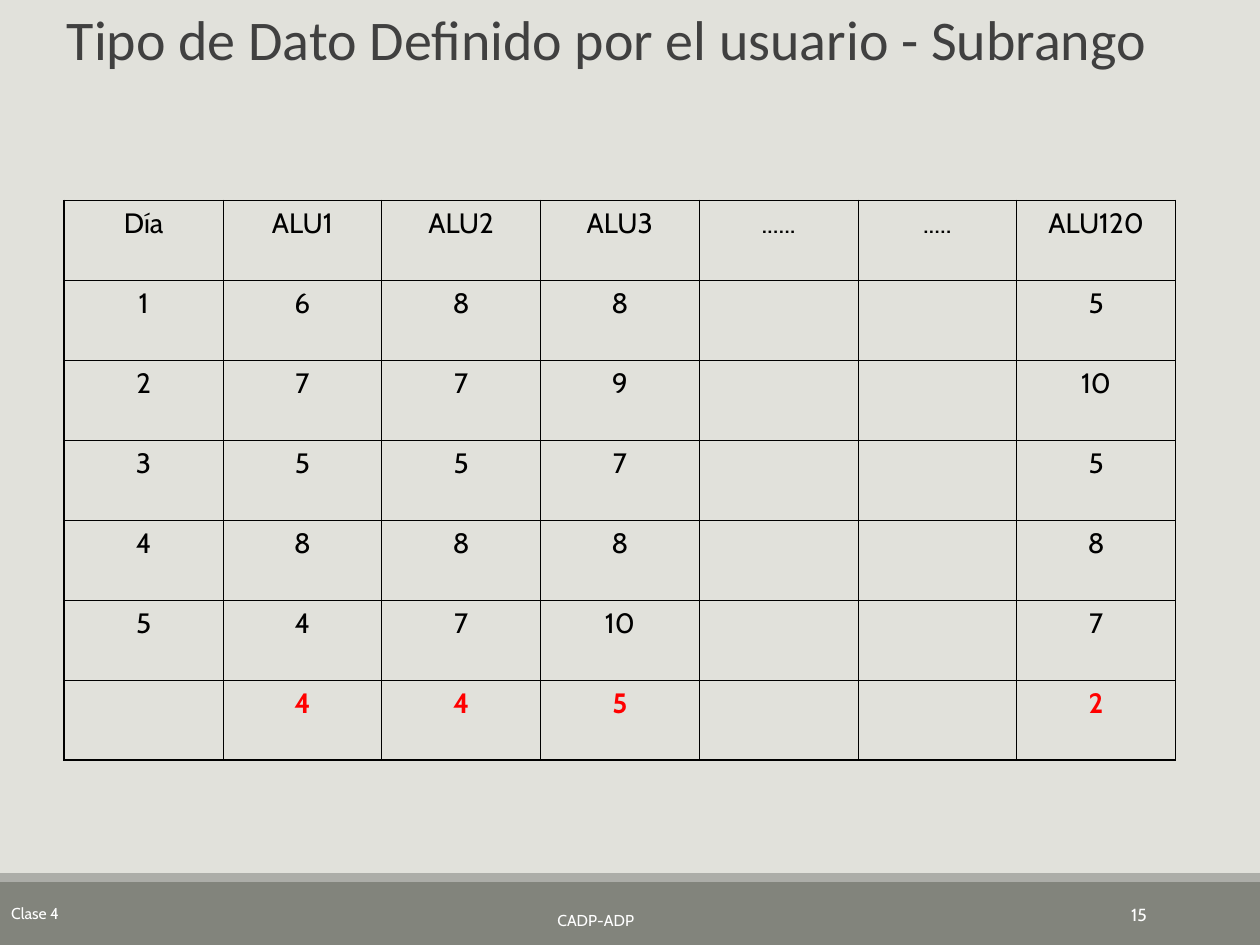
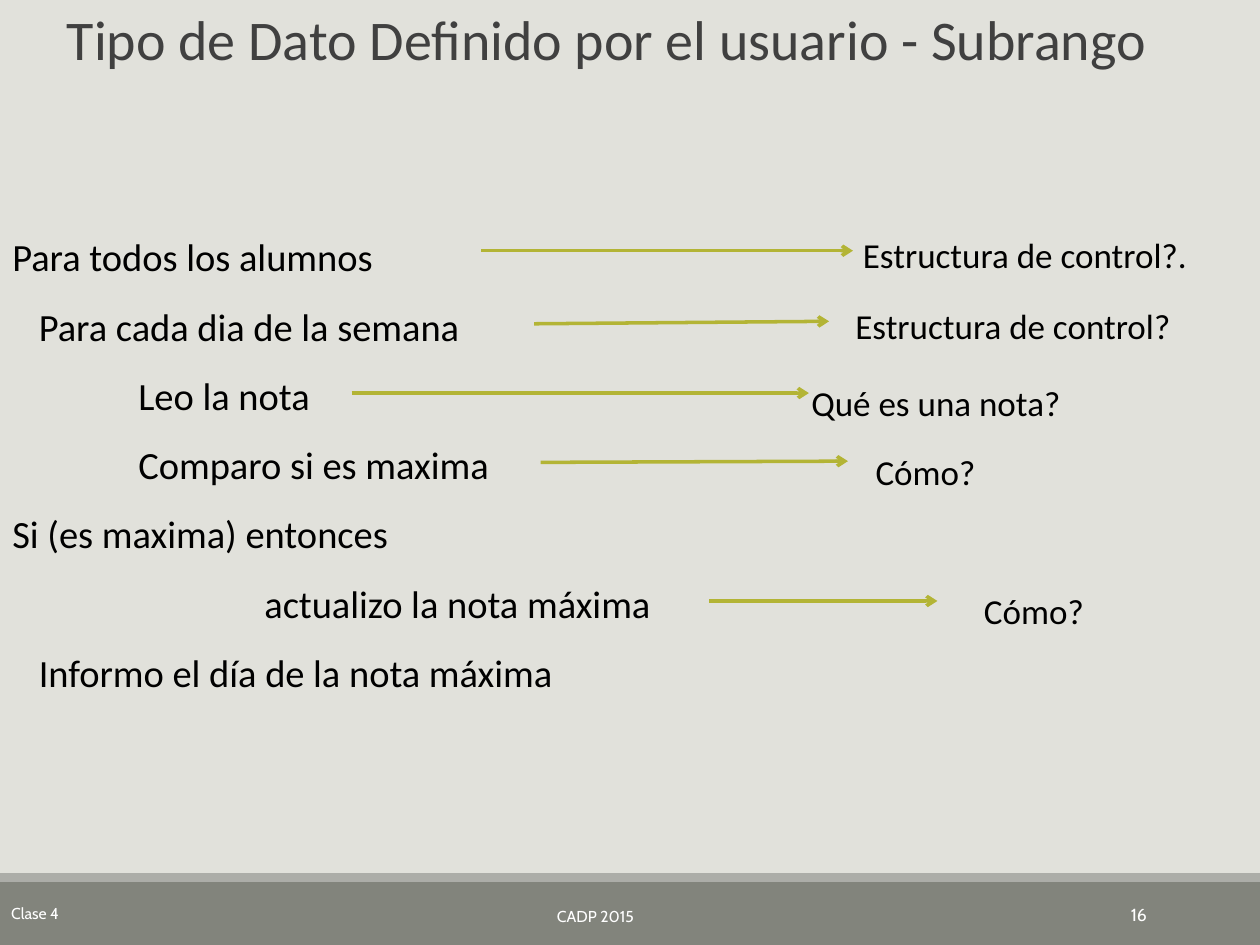
import pptx
import pptx.dml.color
import pptx.enum.shapes
import pptx.enum.text
import pptx.oxml.ns
import pptx.util
from lxml import etree

COLORS = {"back": "E1E1DB", "band": "82847C", "strip": "ACADA8", "title": "404040",
          "ink": "000000", "white": "FFFFFF", "mark": "FF0000", "arrow": "B3B435"}
TITLE = "Tipo de Dato Definido por el usuario - Subrango"
COLS, ROWS = 100, 75
WIDTH, HEIGHT = pptx.util.Inches(10), pptx.util.Inches(7.5)
ALIGN = pptx.enum.text.PP_ALIGN
ANCHOR = pptx.enum.text.MSO_ANCHOR

GRADES = [
    ["Día", "ALU1", "ALU2", "ALU3", "......", ".....", "ALU120"],
    ["1", "6", "8", "8", "", "", "5"],
    ["2", "7", "7", "9", "", "", "10"],
    ["3", "5", "5", "7", "", "", "5"],
    ["4", "8", "8", "8", "", "", "8"],
    ["5", "4", "7", "10", "", "", "7"],
    ["", "4", "4", "5", "", "", "2"],
]
STEPS = [
    (0, "Para todos los alumnos"),
    (2.1, "Para cada dia de la semana"),
    (10, "Leo la nota"),
    (10, "Comparo si es maxima"),
    (0, "Si (es maxima) entonces"),
    (20, "actualizo la nota máxima"),
    (2.1, "Informo el día de la nota máxima"),
]
ASKS = [
    (67.5, 16.4, "Estructura de control?."),
    (66.9, 22, "Estructura de control?"),
    (63.4, 28.1, "Qué es una nota?"),
    (68.5, 33.6, "Cómo?"),
    (77.1, 44.6, "Cómo?"),
]
ARROWS = [
    (38.2, 19.9, 67.7, 19.9),
    (42.4, 25.7, 65.8, 25.5),
    (27.9, 31.2, 64.2, 31.2),
    (42.9, 36.7, 67.3, 36.6),
    (56.3, 47.7, 74.4, 47.7),
]


def col(count):
    """Turn grid columns into a length."""
    return round(WIDTH * count / COLS)


def row(count):
    """Turn grid rows into a length."""
    return round(HEIGHT * count / ROWS)


def area(left, top, width, height):
    """Turn a grid area into a position and size."""
    return col(left), row(top), col(width), row(height)


def paint(name):
    """Look up a named colour."""
    return pptx.dml.color.RGBColor.from_string(COLORS[name])


def write(para, text, size, face, color, bold=False):
    """Add one styled run to a paragraph."""
    run = para.add_run()
    run.text = text
    font = run.font
    font.size, font.name, font.bold = pptx.util.Pt(size), face, bold
    font.color.rgb = paint(color)


def frame(slide, place, anchor=ANCHOR.TOP):
    """Add a wrapping text box and return its frame."""
    text = slide.shapes.add_textbox(*area(*place)).text_frame
    text.word_wrap = True
    text.vertical_anchor = anchor
    return text


def band(slide, top, height, color):
    """Draw a full-width band."""
    kind = pptx.enum.shapes.MSO_SHAPE.RECTANGLE
    shape = slide.shapes.add_shape(kind, *area(0, top, COLS, height))
    shape.shadow.inherit = False
    shape.fill.solid()
    shape.fill.fore_color.rgb = paint(color)
    shape.line.fill.background()


def foot(slide, place, text, size, align):
    """Write one footer entry."""
    para = frame(slide, place, ANCHOR.MIDDLE).paragraphs[0]
    para.alignment = align
    write(para, text, size, "Cabin", "white")


def start(deck, number, course, top):
    """Add a slide with the shared title, bands and footers."""
    slide = deck.slides.add_slide(deck.slide_layouts[5])
    title = slide.shapes.title
    title.left, title.top, title.width, title.height = area(4.3, 1.5, 89.8, 8.4)
    text = title.text_frame
    text.auto_size = pptx.enum.text.MSO_AUTO_SIZE.NONE
    text.vertical_anchor = ANCHOR.TOP
    para = text.paragraphs[0]
    para.alignment, para.line_spacing = ALIGN.LEFT, 0.65
    write(para, TITLE, 32, "Calibri", "title")
    band(slide, 70, 5, "band")
    band(slide, 69.3, 0.7, "strip")
    foot(slide, (81.2, 70.6, 10.8, 4), number, 10, ALIGN.RIGHT)
    foot(slide, (-0.1, 70.4, 8.4, 4.1), "Clase 4", 9, ALIGN.LEFT)
    foot(slide, (42.9, top, 8.4, 4), course, 9, ALIGN.RIGHT)
    return slide


def node(parent, tag, **attrs):
    """Append a drawing element."""
    return etree.SubElement(parent, pptx.oxml.ns.qn("a:" + tag), **attrs)


def edge(cell, side, width):
    """Draw one border of a cell."""
    line = node(cell._tc.get_or_add_tcPr(), "ln" + side, w=str(pptx.util.Pt(width)))
    node(node(line, "solidFill"), "srgbClr", val=COLORS["ink"])


def grid(slide, data, place):
    """Add a table with a heavy outline and a marked last row."""
    high, wide = len(data), len(data[0])
    table = slide.shapes.add_table(high, wide, *area(*place)).table
    table.first_row = table.horz_banding = False
    for y, line in enumerate(data):
        for x, text in enumerate(line):
            cell = table.cell(y, x)
            outer = {"L": x == 0, "R": x == wide - 1, "T": y == 0, "B": y == high - 1}
            for side, heavy in outer.items():
                edge(cell, side, 1.08 if heavy else 0.45)
            cell.fill.background()
            if text:
                last = y == high - 1
                para = cell.text_frame.paragraphs[0]
                para.alignment = ALIGN.CENTER
                para.space_before = pptx.util.Pt(4)
                write(para, text, 16, "Cabin", "mark" if last else "ink", last)


def steps(slide, items, place):
    """List the indented steps of the algorithm."""
    text = frame(slide, place)
    for index, (indent, words) in enumerate(items):
        para = text.add_paragraph() if index else text.paragraphs[0]
        para.line_spacing = 1.5
        para._p.get_or_add_pPr().set("marL", str(col(indent)))
        write(para, words, 22, "Calibri", "ink")


def ask(slide, left, top, words):
    """Write a question beside a step."""
    para = frame(slide, (left, top, 29.5, 5.4)).paragraphs[0]
    para.line_spacing = 1.5
    write(para, words, 20, "Calibri", "ink")


def arrow(slide, left, top, right, end):
    """Draw an arrow from a step to its question."""
    kind = pptx.enum.shapes.MSO_CONNECTOR.STRAIGHT
    link = slide.shapes.add_connector(kind, col(left), row(top), col(right), row(end))
    link.line.color.rgb = paint("arrow")
    link.line.width = pptx.util.Pt(2)
    node(link.line._get_or_add_ln(), "tailEnd", type="arrow")
    node(link._element.spPr, "effectLst")


def main():
    """Build and save both slides."""
    deck = pptx.Presentation()
    deck.slide_width, deck.slide_height = WIDTH, HEIGHT
    fill = deck.slide_master.background.fill
    fill.solid()
    fill.fore_color.rgb = paint("back")

    slide = start(deck, "15", "CADP-ADP", 71)
    grid(slide, GRADES, (5.1, 15.9, 88.2, 44.4))

    slide = start(deck, "16", "CADP 2015", 70.7)
    steps(slide, STEPS, (0, 16.2, 59.4, 40.5))
    for item in ASKS:
        ask(slide, *item)
    for item in ARROWS:
        arrow(slide, *item)
    deck.save("out.pptx")


if __name__ == "__main__":
    main()
